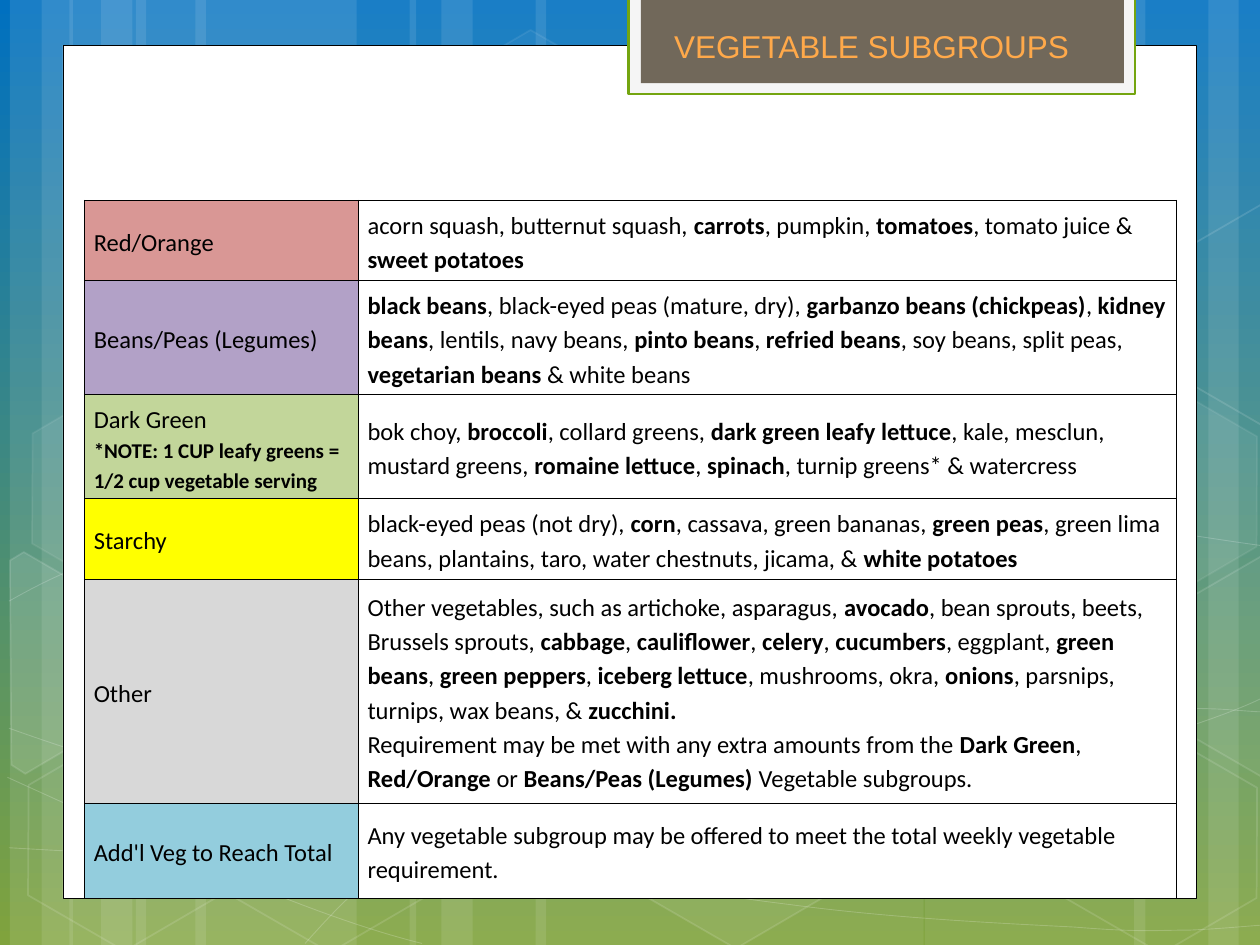
from copy import deepcopy
from math import cos, radians, sin

from lxml import etree
from pptx import Presentation
from pptx.dml.color import RGBColor
from pptx.enum.shapes import MSO_SHAPE
from pptx.enum.text import MSO_ANCHOR
from pptx.oxml.ns import qn
from pptx.util import Cm, Pt

RECTANGLE, HEXAGON = MSO_SHAPE.RECTANGLE, MSO_SHAPE.HEXAGON
MIDDLE = MSO_ANCHOR.MIDDLE
WIDTH, HEIGHT = 25.4, 19.05
TILT = 30
BLACK, WHITE = "000000", "FFFFFF"
CELL_FORMAT = {"vertical_anchor": MIDDLE, "margin_left": Cm(0.19), "margin_right": Cm(0.19)}

# Left, width and rotation of each light stripe
BUNDLES = [(0.2, 4.45), (1.4, 4.45), (8.26, 7.82)]
STRIPES = [(left + offset, width, 0) for left, wide in BUNDLES
           for offset, width in [(2.54, wide), (0, 1.27), (0.64, 2.11)]]
STRIPES[6:6] = [(18.64, 4.45, 180), (24.36, 1.27, 180), (22.86, 2.11, 180)]

# Bezier chains: a start, then two handles and an end for each piece
CURVES = [
    [(0.18, 17.09), (1.55, 17.17), (2.92, 17.25), (4.83, 17.22), (6.73, 17.2), (9.09, 17.15),
     (11.63, 16.89), (14.17, 16.64), (17.78, 16.15), (20.12, 15.67), (22.43, 15.19),
     (24.82, 14.43), (25.58, 14)],
    [(0.18, 12.12), (0.91, 11.71), (1.65, 11.33), (3.07, 10.95), (4.52, 10.57), (6.58, 10.01),
     (8.81, 9.83), (11.07, 9.65), (13.82, 9.63), (16.61, 9.83), (19.41, 10.03),
     (24.05, 10.82), (25.58, 11.02)],
    [(0.15, 15.67), (3.23, 17.07), (6.27, 18.47), (8.51, 19.02)],
    [(0.18, 14.68), (0.97, 14.96), (1.78, 15.24), (3.25, 15.65), (4.72, 16.03), (6.93, 16.66),
     (9.07, 17.09), (11.18, 17.53), (13.84, 17.98), (15.95, 18.24), (18.06, 18.52),
     (20.32, 18.62), (21.67, 18.69), (23.01, 18.8), (23.34, 18.75), (24, 18.75),
     (24.66, 18.72), (25.12, 18.67), (25.58, 18.64)],
    [(6.15, 19.02), (6.6, 18.52), (7.06, 18.01), (7.67, 17.55), (8.28, 17.07), (9.14, 16.59),
     (9.86, 16.23), (10.57, 15.88), (11, 15.72), (11.91, 15.47), (12.85, 15.21),
     (14.55, 14.86), (15.44, 14.68), (16.36, 14.5), (16.48, 14.5), (17.27, 14.45),
     (18.06, 14.38), (19.3, 14.3), (20.17, 14.27), (21.06, 14.25), (22.5, 14.27),
     (22.5, 14.27), (22.5, 14.27), (24.21, 14.27), (24.66, 14.3), (25.1, 14.33),
     (25.32, 14.35), (25.4, 14.35), (25.5, 14.35), (25.55, 14.38)],
]

# Left, top, fill opacity and line opacity
HEXAGONS = [(8.48, 0.91, 4, 8), (12.6, 14.96, 6, 12), (0.28, 15.01, None, 12),
            (0.36, 7.92, 7, 8), (4.42, 15.04, None, 12), (19.13, 11.51, 10, 12),
            (21.18, 15.06, None, 12), (21.18, 7.98, 7, 8)]
LEFT_CUT = [(0.2, 11.3), (0.48, 11.13), (2.44, 12.27), (2.41, 14.48), (0.51, 15.6), (0.23, 15.42)]
RIGHT_CUT = [(23.52, 12.32), (25.45, 11.2), (25.63, 11.33), (25.63, 15.57), (25.45, 15.67),
             (23.52, 14.55)]
CUT_HEXAGONS = [(LEFT_CUT, 10), (RIGHT_CUT, 4), ([(x, y - 7.09) for x, y in RIGHT_CUT], None)]

# Row height, label fill, label and foods; ** surrounds bold words
SUBGROUPS = [
    (1.37, "D99795", "Red/Orange",
     ["acorn squash, butternut squash, **carrots**, pumpkin, **tomatoes**, tomato juice & "
      "**sweet potatoes**"]),
    (2.03, "B2A1C7", "Beans/Peas (Legumes)",
     ["**black beans**, black-eyed peas (mature, dry), **garbanzo beans (chickpeas)**, "
      "**kidney beans**, lentils, navy beans, **pinto beans**, **refried beans**, soy beans, "
      "split peas, **vegetarian beans** & white beans"]),
    (1.85, "C2D69A", "Dark Green\n***NOTE: 1 CUP leafy greens = \n1/2 cup vegetable serving**",
     ["bok choy, **broccoli**, collard greens, **dark green leafy lettuce**, kale, mesclun, "
      "mustard greens, **romaine lettuce**, **spinach**, turnip greens* & watercress"]),
    (1.37, "FFFF00", "Starchy",
     ["black-eyed peas (not dry), **corn**, cassava, green bananas, **green peas**, green lima "
      "beans, plantains, taro, water chestnuts, jicama, & **white potatoes**"]),
    (4.53, "D8D8D8", "Other",
     ["Other vegetables, such as artichoke, asparagus, **avocado**, bean sprouts, beets, "
      "Brussels sprouts, **cabbage**, **cauliflower**, **celery**, **cucumbers**, eggplant, "
      "**green beans**, **green peppers**, **iceberg lettuce**, mushrooms, okra, **onions**, "
      "parsnips, turnips, wax beans, & **zucchini.**",
      "Requirement may be met with any extra amounts from the **Dark Green**, **Red/Orange **or "
      "**Beans/Peas (Legumes)** Vegetable subgroups."]),
    (1.9, "93CDDD", "Add'l Veg to Reach Total",
     ["Any vegetable subgroup may be offered to meet the total weekly vegetable requirement."]),
]


def color(value):
    return RGBColor.from_string(value)


def paint(fill, value, opacity=100):
    if value is None:
        fill.background()
        return
    fill.solid()
    fill.fore_color.rgb = color(value)
    if opacity < 100:
        node = fill._xPr.find(".//" + qn("a:srgbClr"))
        etree.SubElement(node, qn("a:alpha"), val=str(opacity * 1000))


def style(shape, fill=None, line=None, width=1, opacity=100, line_opacity=100):
    shape.shadow.inherit = False
    paint(shape.fill, fill, opacity)
    paint(shape.line.fill, line, line_opacity)
    if line:
        shape.line.width = Pt(width)


def add_box(page, kind, box, **look):
    shape = page.shapes.add_shape(kind, *map(Cm, box))
    style(shape, **look)
    return shape


def add_outline(page, points, closed, **look):
    points = [(Cm(x), Cm(y)) for x, y in points]
    builder = page.shapes.build_freeform(*points[0])
    builder.add_line_segments(points[1:], close=closed)
    shape = builder.convert_to_shape()
    style(shape, **look)
    return shape


def bend(shape):
    """Turn each three straight segments into one Bezier piece."""
    segments = list(shape._element.iter(qn("a:lnTo")))
    for first, second, last in zip(*[iter(segments)] * 3):
        first.tag = qn("a:cubicBezTo")
        for segment in (second, last):
            first.append(segment[0])
            segment.getparent().remove(segment)


def turn(point, degrees):
    x, y = point
    c, s = cos(radians(degrees)), sin(radians(degrees))
    return x * c - y * s, x * s + y * c


def untilt(points):
    """Give the corners that show as points once their shape is turned by TILT."""
    level = [turn(point, -TILT) for point in points]
    middle = [(min(axis) + max(axis)) / 2 for axis in zip(*level)]
    center = turn(middle, TILT)
    return [tuple(p - m + c for p, m, c in zip(point, middle, center)) for point in level]


def draw_backdrop(page, left, top, height):
    fill = page.background.fill
    fill.gradient()
    fill.gradient_angle = 270
    for stop, value in zip(fill.gradient_stops, ("0070C0", "80A33D")):
        stop.color.rgb = color(value)
    for x, width, rotation in STRIPES:
        stripe = add_box(page, RECTANGLE, (left + x, top, width, height), fill=WHITE, opacity=10)
        stripe.rotation = rotation
    for chain in CURVES:
        points = [(left + x, top + y) for x, y in chain]
        bend(add_outline(page, points, False, line=WHITE, width=0.5, line_opacity=20))
    for x, y, opacity, line_opacity in HEXAGONS:
        shape = add_box(page, HEXAGON, (left + x, top + y, 4.45, 3.86), fill=opacity and WHITE,
                        opacity=opacity or 100, line=WHITE, line_opacity=line_opacity)
        shape.adjustments[0] = 0.285
        shape.rotation = TILT
    for corners, opacity in CUT_HEXAGONS:
        points = untilt([(left + x, top + y) for x, y in corners])
        shape = add_outline(page, points, True, fill=opacity and WHITE, opacity=opacity or 100,
                            line=WHITE, line_opacity=12)
        shape.rotation = TILT


def draw_title_tab(page, left, top, width, height):
    add_box(page, RECTANGLE, (left, top, width, height), fill="F5F5F5", line="74A510", width=1.25)
    add_box(page, RECTANGLE, (left + 0.25, top, width - 0.48, height - 0.21), fill="71685A")
    box = page.shapes.add_textbox(*map(Cm, (left + 0.67, top + 0.48, 8.89, 1.02)))
    box.text_frame.word_wrap = True
    span = box.text_frame.paragraphs[0].add_run()
    span.text = "VEGETABLE SUBGROUPS"
    set_font(span, name="Arial", size=Pt(18), value="FFA94A")


def set_font(span, value, **formats):
    for name, setting in formats.items():
        setattr(span.font, name, setting)
    span.font.color.rgb = color(value)


def write_paragraph(para, text, bold_size=14):
    para.line_spacing = 1.15
    for index, part in enumerate(text.replace("***", "**\0").split("**")):
        bold = index % 2 == 1
        for number, line in enumerate(part.replace("\0", "*").split("\n")):
            if number:
                para.add_line_break()
                para._p[-1].insert(0, deepcopy(span._r.rPr))
            if line:
                span = para.add_run()
                span.text = line
                set_font(span, BLACK, name="Calibri", size=Pt(bold_size if bold else 14), bold=bold)


def set_borders(cell, drawn):
    """Line the sides named in drawn (of L, R, T, B) and clear the others."""
    properties = cell._tc.get_or_add_tcPr()
    for side in "LRTB":
        line = etree.SubElement(properties, qn("a:ln" + side), w=str(Pt(0.45)))
        if side in drawn:
            solid = etree.SubElement(line, qn("a:solidFill"))
            etree.SubElement(solid, qn("a:srgbClr"), val=BLACK)
        else:
            etree.SubElement(line, qn("a:noFill"))


def draw_subgroup_table(page, left, top):
    heights = [0.69] + [row[0] for row in SUBGROUPS]
    widths = [5.52] + [3.3] * 5
    frame = page.shapes.add_table(len(heights), len(widths), Cm(left), Cm(top),
                                  Cm(sum(widths)), Cm(sum(heights)))
    table = frame.table
    table.first_row = table.horz_banding = False
    for column, width in zip(table.columns, widths):
        column.width = Cm(width)
    for index, height in enumerate(heights):
        table.rows[index].height = Cm(height)
        for cell in table.rows[index].cells:
            set_borders(cell, "LRTB" if index else "B")
            paint(cell.fill, None)
            for name, setting in CELL_FORMAT.items():
                setattr(cell, name, setting)
    for index, (_, fill, label, foods) in enumerate(SUBGROUPS, 1):
        name_cell, food_cell = table.cell(index, 0), table.cell(index, 1)
        food_cell.merge(table.cell(index, len(widths) - 1))
        paint(name_cell.fill, fill)
        write_paragraph(name_cell.text_frame.paragraphs[0], label, bold_size=12)
        for number, text in enumerate(foods):
            frame = food_cell.text_frame
            write_paragraph(frame.add_paragraph() if number else frame.paragraphs[0], text)


def main():
    deck = Presentation()
    deck.slide_width, deck.slide_height = Cm(WIDTH), Cm(HEIGHT)
    page = deck.slides.add_slide(deck.slide_layouts[6])
    draw_backdrop(page, 0, 0, HEIGHT)
    add_box(page, RECTANGLE, (1.27, 0.91, 22.86, 17.2), fill=WHITE, line=BLACK, width=0.5)
    draw_title_tab(page, 12.67, -0.05, 10.22, 1.94)
    draw_subgroup_table(page, 1.7, 3.02)
    deck.save("out.pptx")


if __name__ == "__main__":
    main()
